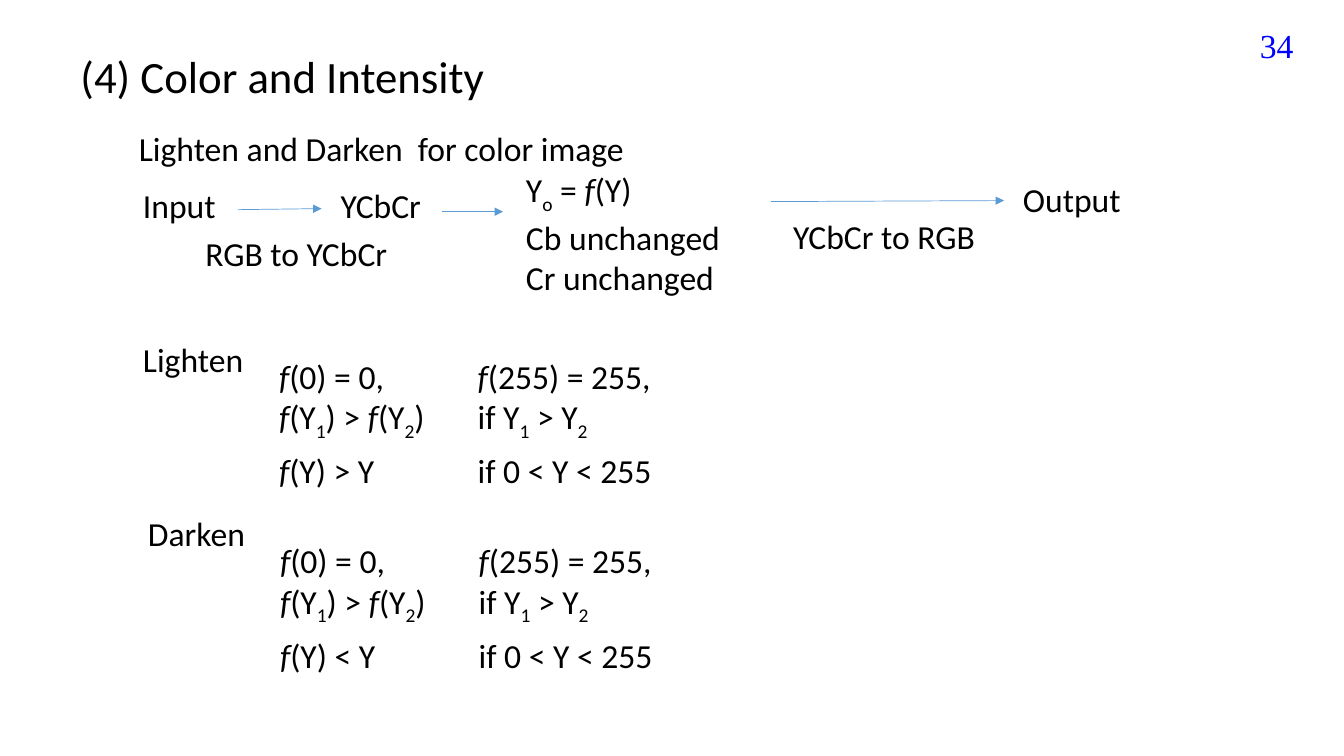
from dataclasses import dataclass

from lxml.etree import SubElement
from pptx import Presentation
from pptx.dml.color import RGBColor as Rgb
from pptx.enum.shapes import MSO_CONNECTOR as Link
from pptx.enum.text import MSO_ANCHOR as Anchor, PP_ALIGN as Align
from pptx.oxml.ns import qn
from pptx.slide import Slide
from pptx.util import Inches, Pt

WIDE, HIGH = Inches(13.333), Inches(7.5)
COLS, ROWS = 160, 90
HUES = {"ink": "000000", "page": "0000FF", "arrow": "5B9BD5"}
TAB = 23.64


def col(n: float) -> int:
    return round(WIDE * n / COLS)


def row(n: float) -> int:
    return round(HIGH * n / ROWS)


def hue(name: str) -> Rgb:
    return Rgb.from_string(HUES[name])


@dataclass
class Note:
    """Lines split into runs at "|": "f" is italic, "_" starts a subscript."""
    lines: tuple[str, ...]
    left: float
    top: float
    width: float
    height: float = 6
    size: int = 24
    font: str = "Calibri"
    color: str = "ink"
    align: Align = Align.LEFT
    anchor: Anchor = Anchor.TOP


@dataclass
class Arrow:
    left: float
    start: float
    right: float
    end: float


def rules(sign: str) -> tuple[str, ...]:
    return (
        "f|(0) = 0,\t|f|(255) = 255,",
        "f|(Y|_1|) > |f|(Y|_2|)\tif Y|_1| > Y|_2",
        f"f|(Y) {sign} Y\tif 0 < Y < 255",
    )


NOTES = (
    Note(("(4) Color and Intensity",), 8.4, 5.16, 93.12, 7.68, size=32),
    Note(("34",), 140.88, 3, 14.28, 4.8, font="Times New Roman",
         color="page", align=Align.RIGHT, anchor=Anchor.MIDDLE),
    Note(("Lighten and Darken  for color image",), 15.36, 14.64, 119.52),
    Note(("Input",), 15.84, 21.48, 11.28),
    Note(("RGB to YCbCr",), 23.28, 27.12, 25.44),
    Note(("YCbCr",), 39.36, 21.48, 13.2),
    Note(("Y|_o| = |f|(Y)",), 61.44, 19.56, 27.24),
    Note(("Cb unchanged", "Cr unchanged"), 61.44, 25.2, 27.96, 10.92),
    Note(("YCbCr to RGB",), 93.24, 25.08, 24.24),
    Note(("Output",), 120.6, 20.76, 14.28),
    Note(("Lighten",), 15.84, 39.72, 16.8),
    Note(rules(">"), 32.04, 41.76, 55.56, 16.8),
    Note(("Darken",), 16.44, 60.48, 16.8),
    Note(rules("<"), 32.16, 63.72, 55.56, 16.8),
)

ARROWS = (
    Arrow(28.32, 24.96, 38.28, 24.84),
    Arrow(52.68, 25.2, 59.88, 25.2),
    Arrow(91.8, 24, 119.52, 23.88),
)


def write(slide: Slide, note: Note) -> None:
    box = slide.shapes.add_textbox(
        col(note.left), row(note.top), col(note.width), row(note.height))
    frame = box.text_frame
    frame.word_wrap = True
    frame.vertical_anchor = note.anchor
    for n, line in enumerate(note.lines):
        para = frame.add_paragraph() if n else frame.paragraphs[0]
        para.alignment = note.align
        if n == 2:
            para.space_before = Pt(6)
        if "\t" in line:
            tabs = SubElement(para._p.get_or_add_pPr(), qn("a:tabLst"))
            SubElement(tabs, qn("a:tab"), pos=str(col(TAB)), algn="l")
        for part in line.split("|"):
            run = para.add_run()
            run.text = part.removeprefix("_")
            run.font.size = Pt(note.size)
            run.font.name = note.font
            run.font.color.rgb = hue(note.color)
            run.font.italic = part == "f"
            if part.startswith("_"):
                run.font._element.set("baseline", "-25000")


def point(slide: Slide, arrow: Arrow) -> None:
    line = slide.shapes.add_connector(
        Link.STRAIGHT, col(arrow.left), row(arrow.start),
        col(arrow.right), row(arrow.end))
    line.line.color.rgb = hue("arrow")
    line.line.width = Pt(0.5)
    SubElement(line.line._get_or_add_ln(), qn("a:tailEnd"), type="triangle")
    SubElement(line._element.spPr, qn("a:effectLst"))


def main() -> None:
    deck = Presentation()
    deck.slide_width, deck.slide_height = WIDE, HIGH
    slide = deck.slides.add_slide(deck.slide_layouts[6])
    for note in NOTES:
        write(slide, note)
    for arrow in ARROWS:
        point(slide, arrow)
    deck.save("out.pptx")


if __name__ == "__main__":
    main()
